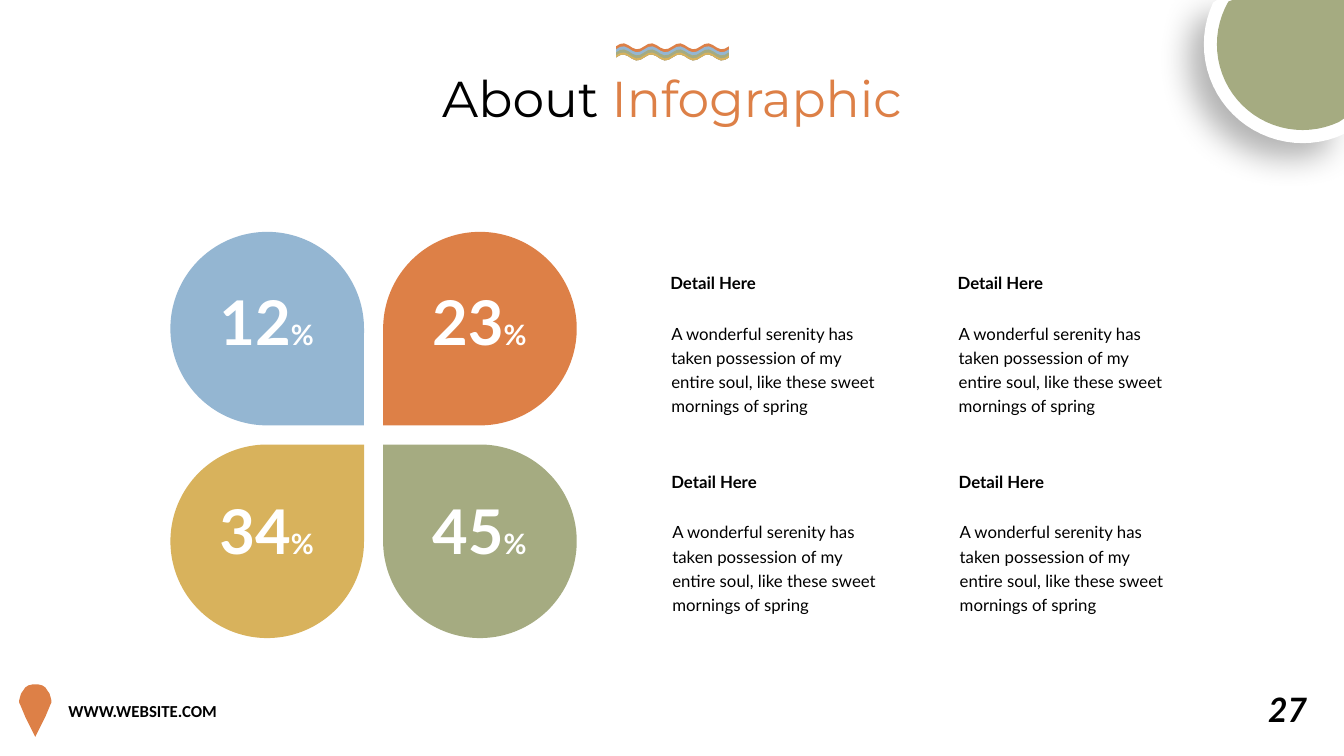
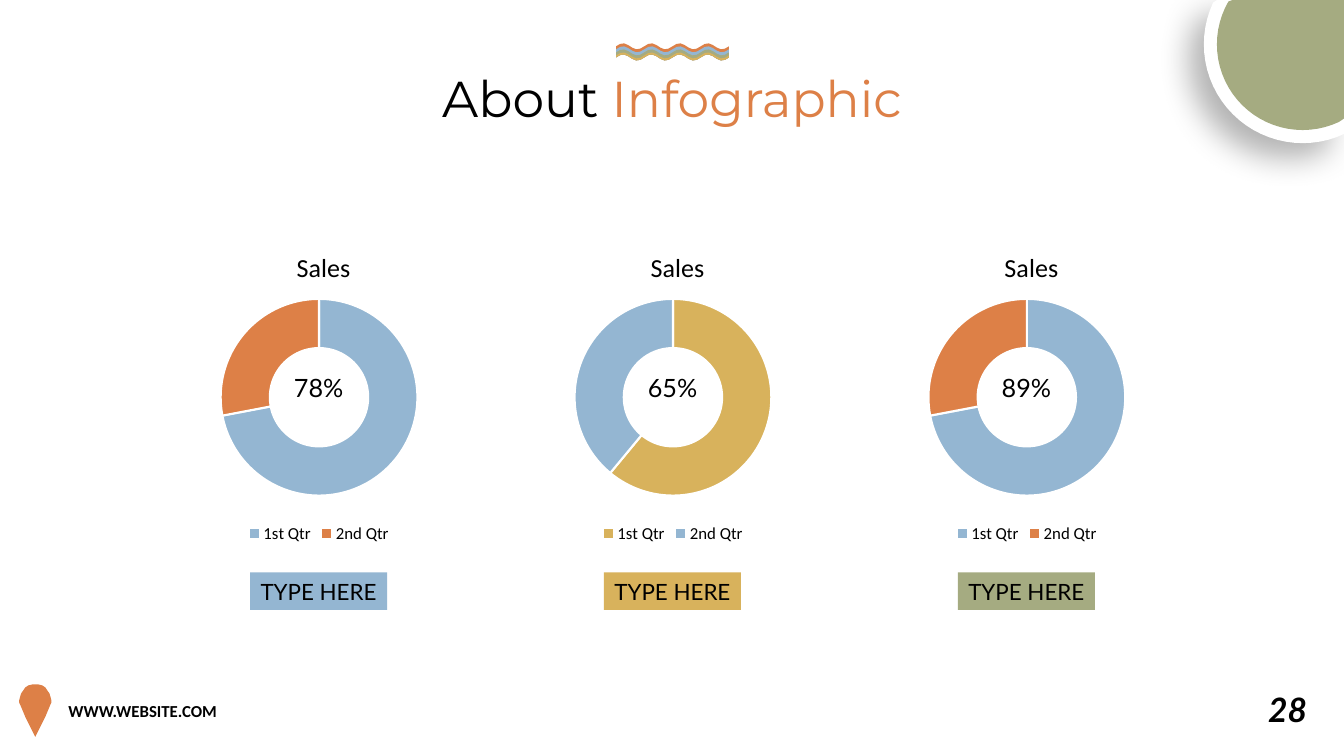
from dataclasses import dataclass
from math import cos, pi, radians, sin

from pptx import Presentation
from pptx.chart.chart import Chart
from pptx.chart.data import CategoryChartData
from pptx.dml.color import RGBColor
from pptx.enum.chart import XL_CHART_TYPE as ChartType, XL_LEGEND_POSITION as LegendPosition
from pptx.enum.shapes import MSO_SHAPE as Preset
from pptx.enum.text import MSO_ANCHOR as Anchor, MSO_AUTO_SIZE as AutoSize, PP_ALIGN as Align
from pptx.oxml.ns import qn
from pptx.oxml.xmlchemy import OxmlElement
from pptx.shapes.base import BaseShape
from pptx.slide import Slide
from pptx.text.text import Font, TextFrame
from pptx.util import Pt

PX = 9144
WIDTH, HEIGHT = 1333, 750

BLACK = RGBColor(0x00, 0x00, 0x00)
WHITE = RGBColor(0xFF, 0xFF, 0xFF)
BLUE = RGBColor(0x94, 0xB6, 0xD2)
ORANGE = RGBColor(0xDD, 0x80, 0x47)
GOLD = RGBColor(0xD8, 0xB2, 0x5C)
GREEN = RGBColor(0xA5, 0xAB, 0x81)

TITLE = {"name": "Montserrat", "size": Pt(36)}
PAGE_NUMBER = {"name": "Lato", "size": Pt(24), "bold": True, "italic": True}
WEBSITE = {"name": "Calibri", "size": Pt(12), "bold": True}
SHARE = {"name": "Lato", "size": Pt(44), "bold": True}
PERCENT_SIGN = {"name": "Lato", "size": Pt(20), "bold": True}
HEADING = {"name": "Lato", "size": Pt(12), "bold": True}
BODY = {"name": "Lato", "size": Pt(12)}
RING_VALUE = {"name": "Lato", "size": Pt(18)}
CAPTION = {"name": "Lato", "size": Pt(16)}
CHART_TEXT = {"name": "Calibri", "size": Pt(10)}
CHART_TITLE = {"name": "Calibri", "size": Pt(18.6), "bold": False}
LEGEND = {"name": "Calibri", "size": Pt(12)}

PIN_AXIS = 35
PIN_PROFILE = (
    (0, 679), (3, 679), (7, 680), (10, 682), (12, 685), (14, 688), (15, 691),
    (16, 695), (16, 697), (15, 699), (10, 711), (4, 723), (0, 731),
)
WAVE_BANDS = ((46, ORANGE), (49, BLUE), (52, GREEN), (55, GOLD))
WAVE_BOTTOM = 57
RING_PITCH = 351
DETAIL = (
    "A wonderful serenity has taken possession of my entire soul, "
    "like these sweet mornings of spring"
)


@dataclass(frozen=True)
class Box:
    left: int
    top: int
    width: int
    height: int

    def emu(self) -> tuple[int, ...]:
        return tuple(v * PX for v in (self.left, self.top, self.width, self.height))


@dataclass(frozen=True)
class Piece:
    text: str
    style: dict
    colour: RGBColor = BLACK


@dataclass(frozen=True)
class Petal:
    share: str
    colour: RGBColor
    rotation: int


@dataclass(frozen=True)
class Ring:
    value: str
    quarters: tuple[int, int]
    colours: tuple[RGBColor, RGBColor]
    caption_colour: RGBColor


PETALS = (
    Petal("12", BLUE, 90),
    Petal("23", ORANGE, 180),
    Petal("34", GOLD, 0),
    Petal("45", GREEN, 270),
)
RINGS = (
    Ring("78%", (72, 28), (BLUE, ORANGE), BLUE),
    Ring("65%", (61, 39), (GOLD, BLUE), GOLD),
    Ring("89%", (72, 28), (BLUE, ORANGE), GREEN),
)


def style_font(font: Font, style: dict, colour: RGBColor = BLACK) -> None:
    for attribute, value in style.items():
        setattr(font, attribute, value)
    font.color.rgb = colour


def write(frame: TextFrame, pieces: tuple[Piece, ...], align: Align, spacing: float = 1.0) -> None:
    paragraph = frame.paragraphs[0]
    paragraph.alignment = align
    paragraph.line_spacing = spacing
    for piece in pieces:
        run = paragraph.add_run()
        run.text = piece.text
        style_font(run.font, piece.style, piece.colour)


def add_text(slide: Slide, box: Box, *pieces: Piece, align: Align = Align.LEFT,
             spacing: float = 1.0, wrap: bool = True) -> None:
    frame = slide.shapes.add_textbox(*box.emu()).text_frame
    frame.word_wrap = wrap
    frame.auto_size = AutoSize.SHAPE_TO_FIT_TEXT
    write(frame, pieces, align, spacing)


def paint(shape: BaseShape, colour: RGBColor) -> None:
    shape.shadow.inherit = False
    shape.fill.solid()
    shape.fill.fore_color.rgb = colour
    shape.line.fill.background()


def add_outline(slide: Slide, points: list[tuple[float, float]], colour: RGBColor) -> BaseShape:
    start, *rest = [(x * PX, y * PX) for x, y in points]
    builder = slide.shapes.build_freeform(*start, scale=1.0)
    builder.add_line_segments(rest, close=True)
    outline = builder.convert_to_shape()
    paint(outline, colour)
    return outline


def add_corner_disc(slide: Slide, radius: int, colour: RGBColor) -> BaseShape:
    points = [
        (min(WIDTH, 1292 + radius * cos(radians(a))), max(0, 44 + radius * sin(radians(a))))
        for a in range(0, 360, 5)
    ]
    return add_outline(slide, list(dict.fromkeys(points)), colour)


def cast_shadow(shape: BaseShape) -> None:
    shadow = OxmlElement("a:outerShdw")
    for attribute, value in {"blurRad": 32 * PX, "dist": 21 * PX, "dir": 135 * 60000,
                             "algn": "tr", "rotWithShape": 0}.items():
        shadow.set(attribute, str(value))
    colour = OxmlElement("a:srgbClr")
    colour.set("val", str(BLACK))
    alpha = OxmlElement("a:alpha")
    alpha.set("val", "29000")
    colour.append(alpha)
    shadow.append(colour)
    shape._element.spPr.find(qn("a:effectLst")).append(shadow)


def wave_edge(centre: int) -> list[tuple[float, float]]:
    return [(x, centre - 3 * cos(2 * pi * (x - 618) / 28)) for x in range(611, 724, 4)]


def add_frame(slide: Slide, number: int) -> None:
    add_text(slide, Box(1248, 679, 59, 50), Piece(str(number), PAGE_NUMBER), wrap=False)
    right = [(PIN_AXIS + half, y) for half, y in PIN_PROFILE]
    left = [(PIN_AXIS - half, y) for half, y in reversed(PIN_PROFILE[1:-1])]
    add_outline(slide, right + left, ORANGE)
    add_text(slide, Box(58, 690, 253, 30), Piece("WWW.WEBSITE.COM", WEBSITE))
    cast_shadow(add_corner_disc(slide, 98, WHITE))
    add_corner_disc(slide, 85, GREEN)
    add_text(slide, Box(410, 62, 513, 71), Piece("About ", TITLE),
             Piece("Infographic", TITLE, ORANGE), align=Align.CENTER, wrap=False)
    for top, colour in WAVE_BANDS:
        add_outline(slide, wave_edge(top) + wave_edge(WAVE_BOTTOM)[::-1], colour)


def add_petal(slide: Slide, petal: Petal, row: int, column: int) -> None:
    box = Box(169 + 211 * column, 230 + 211 * row, 192, 192)
    leaf = slide.shapes.add_shape(Preset.TEAR, *box.emu())
    leaf.rotation = petal.rotation
    paint(leaf, petal.colour)
    add_text(slide, Box(170 + 211 * column, 277 + 207 * row, 189, 84),
             Piece(petal.share, SHARE, WHITE), Piece("%", PERCENT_SIGN, WHITE),
             align=Align.CENTER)


def add_detail(slide: Slide, row: int, column: int) -> None:
    left, top = 655 + 285 * column + row, 260 + 197 * row
    add_text(slide, Box(left, top, 229, 34), Piece("Detail Here", HEADING), spacing=1.3)
    add_text(slide, Box(left + 1, top + 52, 229, 105), Piece(DETAIL, BODY), spacing=1.2)


def place(part, **settings) -> None:
    layout = part.find(qn("c:layout"))
    if layout is None:
        layout = OxmlElement("c:layout")
        part.insert(0, layout)
    manual = OxmlElement("c:manualLayout")
    for tag, value in settings.items():
        setting = OxmlElement(f"c:{tag}")
        setting.set("val", str(value))
        manual.append(setting)
    layout.append(manual)


def format_ring(chart: Chart, ring: Ring) -> None:
    style_font(chart.font, CHART_TEXT)
    chart.has_title = True
    heading = chart.chart_title
    heading.text_frame.text = "Sales"
    style_font(heading.text_frame.paragraphs[0].runs[0].font, CHART_TITLE)
    place(heading._element, xMode="edge", yMode="edge", x=0.42, y=0.06)
    chart.has_legend = True
    chart.legend.position = LegendPosition.BOTTOM
    chart.legend.include_in_layout = False
    style_font(chart.legend.font, LEGEND)
    plot = chart.plots[0]
    plot.vary_by_categories = True
    plot._element.find(qn("c:holeSize")).set("val", "75")
    place(plot._element.getparent(), layoutTarget="inner", xMode="edge", yMode="edge",
          x=0.21, y=0.23, w=0.58, h=0.61)
    for index, colour in enumerate(ring.colours):
        slice_format = plot.series[0].points[index].format
        slice_format.fill.solid()
        slice_format.fill.fore_color.rgb = colour
        slice_format.line.color.rgb = WHITE
        slice_format.line.width = Pt(1.5)


def add_ring(slide: Slide, ring: Ring, column: int) -> None:
    shift = RING_PITCH * column
    sales = CategoryChartData()
    sales.categories = ("1st Qtr", "2nd Qtr")
    sales.add_series("Series 1", ring.quarters)
    chart = slide.shapes.add_chart(
        ChartType.DOUGHNUT, *Box(148 + shift, 223, 337, 320).emu(), sales).chart
    format_ring(chart, ring)
    caption = slide.shapes.add_shape(Preset.RECTANGLE, *Box(248 + shift, 568, 136, 37).emu())
    paint(caption, ring.caption_colour)
    caption.text_frame.word_wrap = False
    caption.text_frame.vertical_anchor = Anchor.MIDDLE
    write(caption.text_frame, (Piece("TYPE HERE", CAPTION),), Align.CENTER)
    add_text(slide, Box(257 + shift, 364, 118, 40), Piece(ring.value, RING_VALUE),
             align=Align.CENTER)


def main() -> None:
    deck = Presentation()
    deck.slide_width, deck.slide_height = WIDTH * PX, HEIGHT * PX
    blank = deck.slide_layouts[6]

    petals_slide = deck.slides.add_slide(blank)
    add_frame(petals_slide, 27)
    for index, petal in enumerate(PETALS):
        row, column = divmod(index, 2)
        add_petal(petals_slide, petal, row, column)
        add_detail(petals_slide, row, column)

    rings_slide = deck.slides.add_slide(blank)
    add_frame(rings_slide, 28)
    for column, ring in enumerate(RINGS):
        add_ring(rings_slide, ring, column)

    deck.save("out.pptx")


if __name__ == "__main__":
    main()
